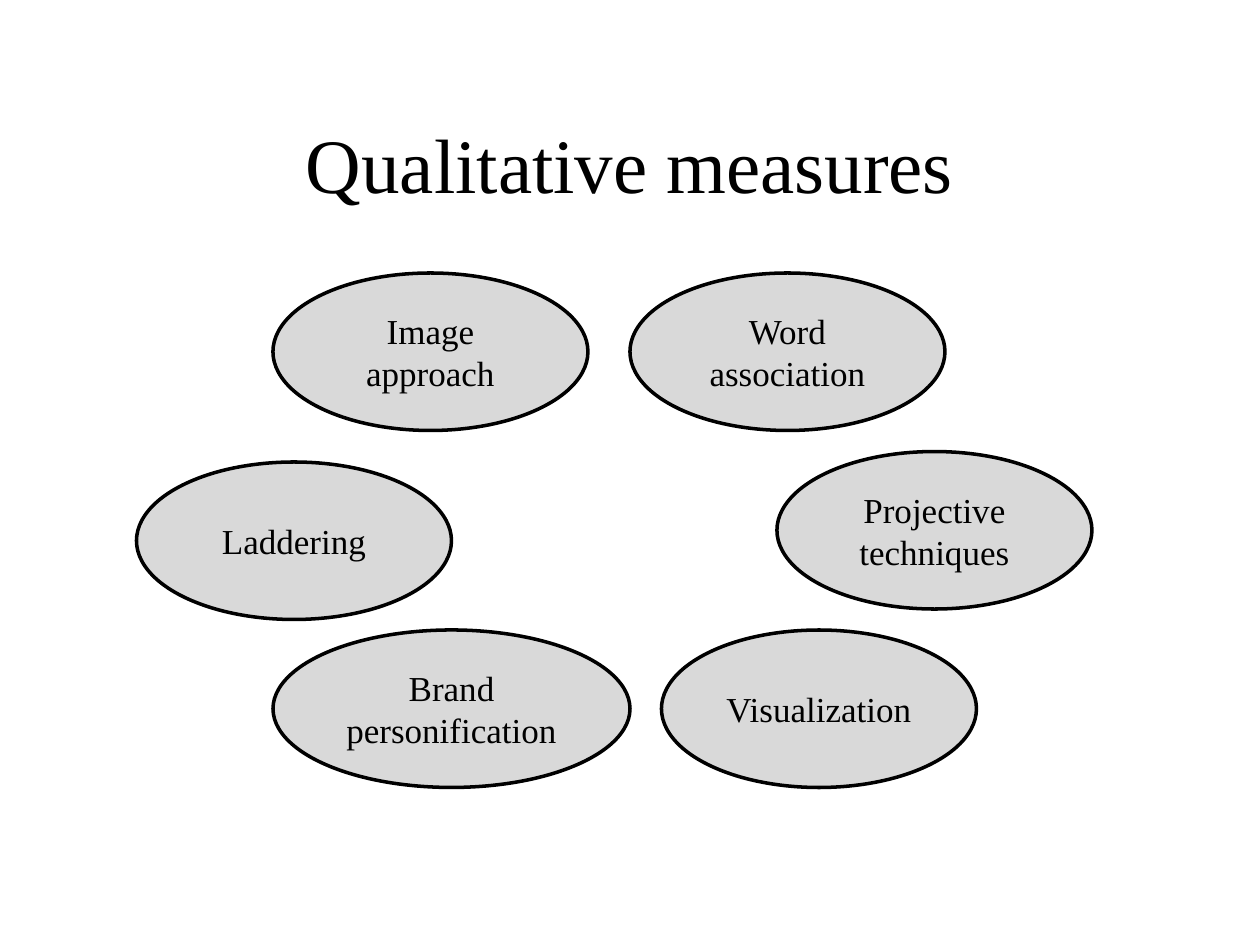
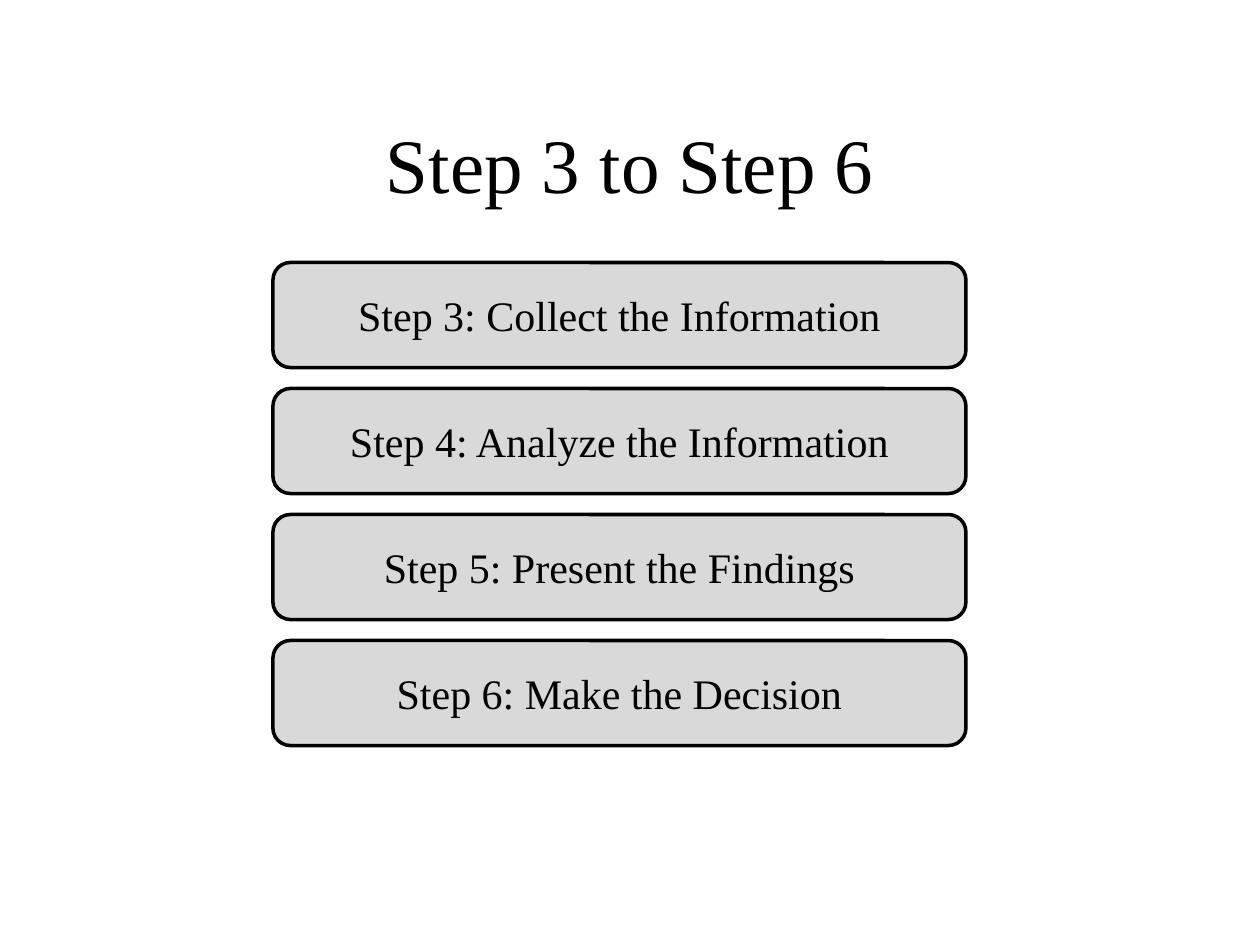
from dataclasses import dataclass

import pptx
import pptx.dml.color
import pptx.enum.shapes
import pptx.enum.text
import pptx.presentation
import pptx.slide
import pptx.text.text
import pptx.util

Pt = pptx.util.Pt
RGBColor = pptx.dml.color.RGBColor
MSO_SHAPE = pptx.enum.shapes.MSO_SHAPE

INK = RGBColor(0x00, 0x00, 0x00)
PANEL = RGBColor(0xD9, 0xD9, 0xD9)
FONT = "Times New Roman"
TITLE_ONLY = 5

LEFT_EDGE = 156
MEASURE_HEIGHT = 90
STEP_TOP = 150
STEP_WIDTH = 396
STEP_HEIGHT = 60
STEP_PITCH = 72
FIRST_STEP = 3


@dataclass(frozen=True)
class Panel:
    label: str
    left: float
    top: float
    width: float = 180
    height: float = MEASURE_HEIGHT
    outline: MSO_SHAPE = MSO_SHAPE.OVAL
    size: float = 20


MEASURES = [
    Panel("Image approach", LEFT_EDGE, 156),
    Panel("Word association", 360, 156),
    Panel("Projective techniques", 444, 258),
    Panel("Visualization", 378, 360),
    Panel("Brand personification", LEFT_EDGE, 360, width=204),
    Panel("Laddering", 78, 264),
]

STEP_NAMES = [
    "Collect the Information",
    "Analyze the Information",
    "Present the Findings",
    "Make the Decision",
]

STEPS = [
    Panel(
        f"Step {FIRST_STEP + row}: {name}",
        LEFT_EDGE,
        STEP_TOP + row * STEP_PITCH,
        STEP_WIDTH,
        STEP_HEIGHT,
        MSO_SHAPE.ROUNDED_RECTANGLE,
        24,
    )
    for row, name in enumerate(STEP_NAMES)
]


def write_centred(frame: pptx.text.text.TextFrame, wording: str, size: float) -> None:
    frame.text = wording
    frame.word_wrap = True
    frame.vertical_anchor = pptx.enum.text.MSO_ANCHOR.MIDDLE
    paragraph = frame.paragraphs[0]
    paragraph.alignment = pptx.enum.text.PP_ALIGN.CENTER
    paragraph.font.name = FONT
    paragraph.font.size = Pt(size)
    paragraph.font.color.rgb = INK


def draw_panel(slide: pptx.slide.Slide, panel: Panel) -> None:
    shape = slide.shapes.add_shape(
        panel.outline, Pt(panel.left), Pt(panel.top), Pt(panel.width), Pt(panel.height)
    )
    shape.shadow.inherit = False
    shape.fill.solid()
    shape.fill.fore_color.rgb = PANEL
    shape.line.color.rgb = INK
    shape.line.width = Pt(2)
    write_centred(shape.text_frame, panel.label, panel.size)


def add_panel_slide(
    deck: pptx.presentation.Presentation, heading: str, panels: list[Panel]
) -> None:
    slide = deck.slides.add_slide(deck.slide_layouts[TITLE_ONLY])
    title = slide.shapes.title
    title.left, title.top = Pt(54), Pt(48)
    title.width, title.height = Pt(612), Pt(90)
    write_centred(title.text_frame, heading, 44)
    for panel in panels:
        draw_panel(slide, panel)


def main() -> None:
    deck = pptx.Presentation()
    deck.slide_width, deck.slide_height = Pt(720), Pt(540)
    add_panel_slide(deck, "Qualitative measures", MEASURES)
    add_panel_slide(deck, "Step 3 to Step 6", STEPS)
    deck.save("out.pptx")


if __name__ == "__main__":
    main()
